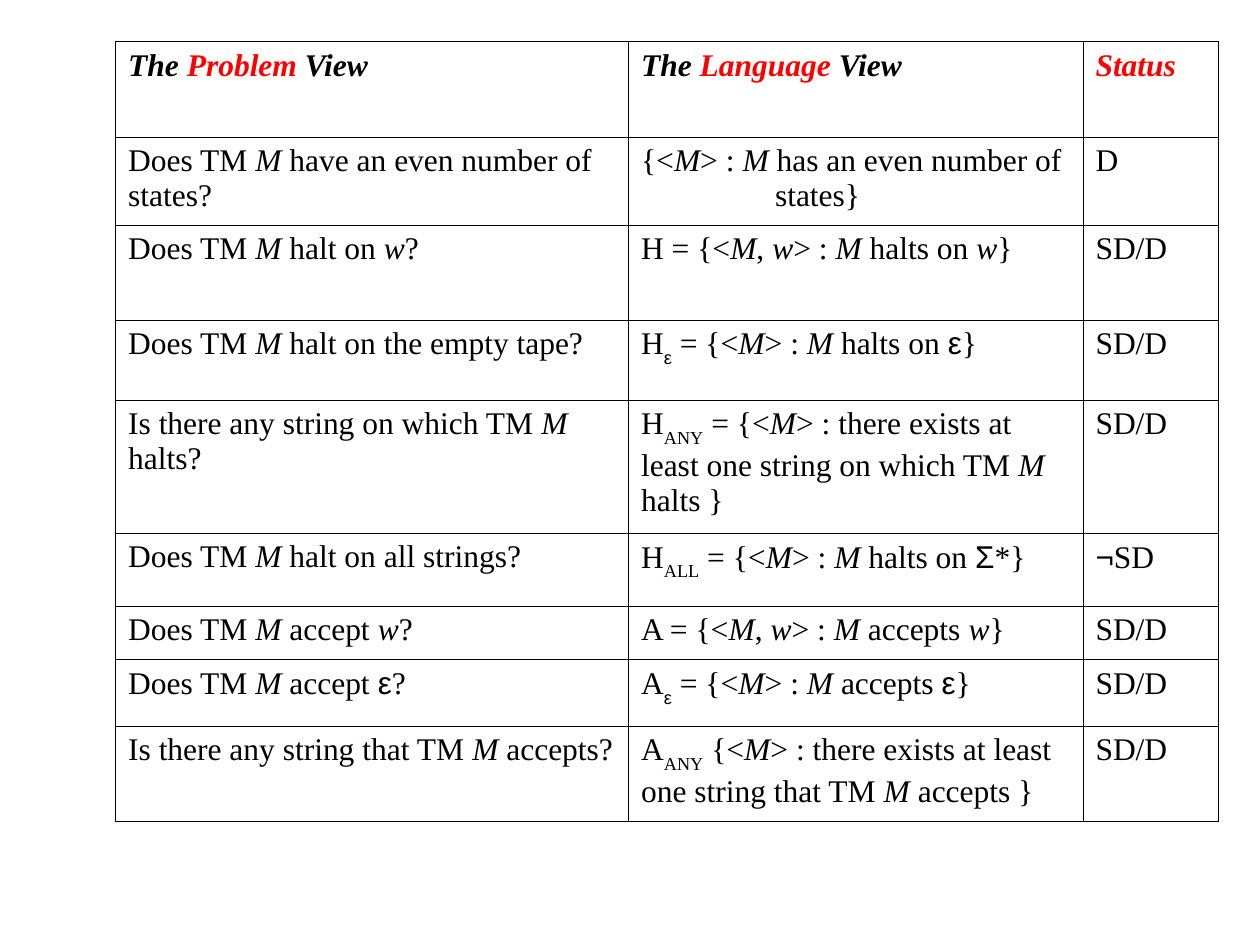
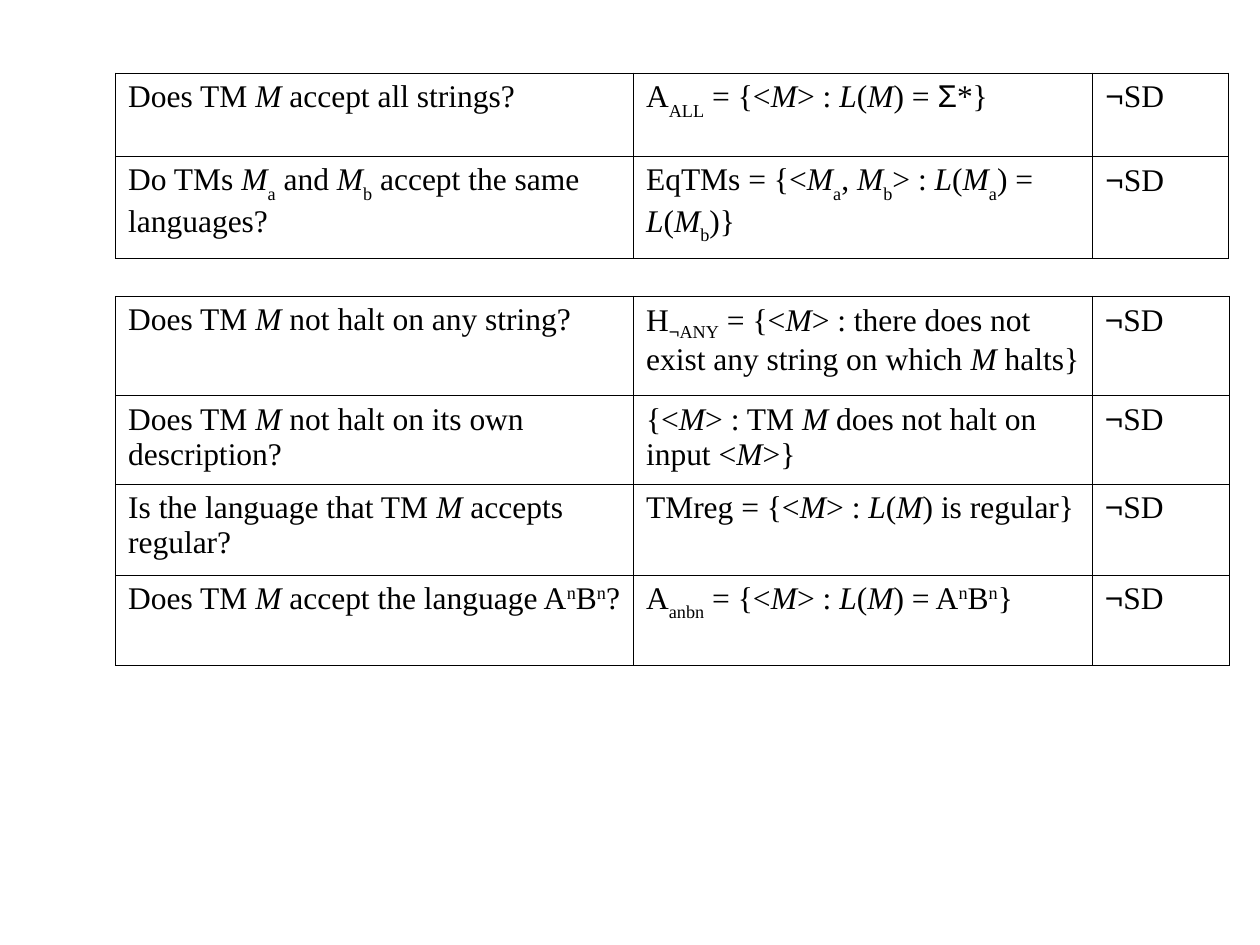
from dataclasses import dataclass
from itertools import groupby

from lxml import etree
from pptx import Presentation
from pptx.dml import color
from pptx.oxml import ns
from pptx.util import Cm, Pt


@dataclass(frozen=True)
class Theme:
    ink: str = "000000"
    accent: str = "FF0000"
    serif: str = "Times New Roman"
    sans: str = "Arial"
    body: float = 18
    rule: float = 0.45


theme = Theme()
marks = {"|": "italic", "_": "low", "~": "slightly low", "^": "high", "#": "accent"}
baselines = {"low": "-30000", "slightly low": "-25000", "high": "30000"}
sans_symbols = "εΣ¬"
carry_indent = Cm(2.7)


def write_marked(paragraph, marked, heading):
    active, letters = set(), []
    for letter in marked:
        if letter in marks:
            active ^= {marks[letter]}
        else:
            symbol = {"sans"} if letter in sans_symbols else set()
            letters.append((letter, active | symbol))
    for style, group in groupby(letters, key=lambda pair: pair[1]):
        run = paragraph.add_run()
        run.text = "".join(letter for letter, _ in group)
        look = {
            "name": theme.sans if "sans" in style else theme.serif,
            "size": Pt(theme.body),
            "bold": heading,
            "italic": heading or "italic" in style,
        }
        for attribute, value in look.items():
            setattr(run.font, attribute, value)
        ink = theme.accent if "accent" in style else theme.ink
        run.font.color.rgb = color.RGBColor.from_string(ink)
        for level in style & baselines.keys():
            run.font._element.set("baseline", baselines[level])


def draw_borders(cell):
    properties = cell._tc.get_or_add_tcPr()
    for side in ("a:lnL", "a:lnR", "a:lnT", "a:lnB"):
        line = etree.SubElement(properties, ns.qn(side), w=str(Pt(theme.rule)))
        fill = etree.SubElement(line, ns.qn("a:solidFill"))
        etree.SubElement(fill, ns.qn("a:srgbClr"), val=theme.ink)


halting_and_accepting = {
    "top": 0.84,
    "columns": (10.34, 9.16, 2.73),
    "heights": (1.92, 1.78, 1.91, 1.62, 2.68, 1.47, 1.08, 1.34, 1.91),
    "heading": True,
    "rows": [
        ("The #Problem# View", "The #Language# View", "#Status#"),
        ("Does TM |M| have an even number of states?",
         "{<|M|> : |M| has an even number of\nstates}", "D"),
        ("Does TM |M| halt on |w|?", "H = {<|M|, |w|> : |M| halts on |w|}", "SD/D"),
        ("Does TM |M| halt on the empty tape?",
         "H_ε_ = {<|M|> : |M| halts on ε}", "SD/D"),
        ("Is there any string on which TM |M| halts?",
         "H_ANY_ = {<|M|> : there exists at least one string on which TM |M| halts }",
         "SD/D"),
        ("Does TM |M| halt on all strings?",
         "H_ALL_ = {<|M|> : |M| halts on Σ*}", "¬SD"),
        ("Does TM |M| accept |w|?", "A = {<|M|, |w|> : |M| accepts |w|}", "SD/D"),
        ("Does TM |M| accept ε?", "A_ε_ = {<|M|> : |M| accepts ε}", "SD/D"),
        ("Is there any string that TM |M| accepts?",
         "A_ANY_ {<|M|> : there exists at least one string that TM |M| accepts }",
         "SD/D"),
    ],
}
all_and_equal = {
    "top": 1.47,
    "columns": (10.44, 9.26, 2.74),
    "heights": (1.68, 2.06),
    "heading": False,
    "rows": [
        ("Does TM |M| accept all strings?", "A_ALL_ = {<|M|> : |L|(|M|) = Σ*}", "¬SD"),
        ("Do TMs |M|_a_ and |M|_b_ accept the same languages?",
         "EqTMs = {<|M|_a_, |M|_b_> : |L|(|M|_a_) = |L|(|M|_b_)}", "¬SD"),
    ],
}
negations_and_languages = {
    "top": 5.97,
    "columns": (10.44, 9.25, 2.76),
    "heights": (2.01, 1.78, 1.83, 1.83),
    "heading": False,
    "rows": [
        ("Does TM |M| not halt on any string?",
         "H~¬ANY~ = {<|M|> : there does not exist any string on which |M| halts}", "¬SD"),
        ("Does TM |M| not halt on its own description?",
         "{<|M|> : TM |M| does not halt on input <|M|>}", "¬SD"),
        ("Is the language that TM |M| accepts regular?",
         "TMreg = {<|M|> : |L|(|M|) is regular}", "¬SD"),
        ("Does TM |M| accept the language A^n^B^n^?",
         "A_anbn_ = {<|M|> : |L|(|M|) = A^n^B^n^}", "¬SD"),
    ],
}

deck = Presentation()
deck.slide_width, deck.slide_height = Cm(25.4), Cm(19.05)
blank = deck.slide_layouts[6]

for problem_groups in ([halting_and_accepting], [all_and_equal, negations_and_languages]):
    slide = deck.slides.add_slide(blank)
    for problems in problem_groups:
        rows, columns, heights = (problems[key] for key in ("rows", "columns", "heights"))
        grid = slide.shapes.add_table(
            len(rows), len(columns), Cm(2.33), Cm(problems["top"]),
            Cm(sum(columns)), Cm(sum(heights))).table
        grid.first_row = grid.horz_banding = False
        for column, width in zip(grid.columns, columns):
            column.width = Cm(width)
        for index, (row, height, entries) in enumerate(zip(grid.rows, heights, rows)):
            row.height = Cm(height)
            for cell, entry in zip(row.cells, entries):
                draw_borders(cell)
                cell.fill.background()
                first, *carried = entry.split("\n")
                heading = problems["heading"] and index == 0
                write_marked(cell.text_frame.paragraphs[0], first, heading)
                for rest in carried:
                    paragraph = cell.text_frame.add_paragraph()
                    paragraph._p.get_or_add_pPr().set("marL", str(carry_indent))
                    write_marked(paragraph, rest, heading)

deck.save("out.pptx")
